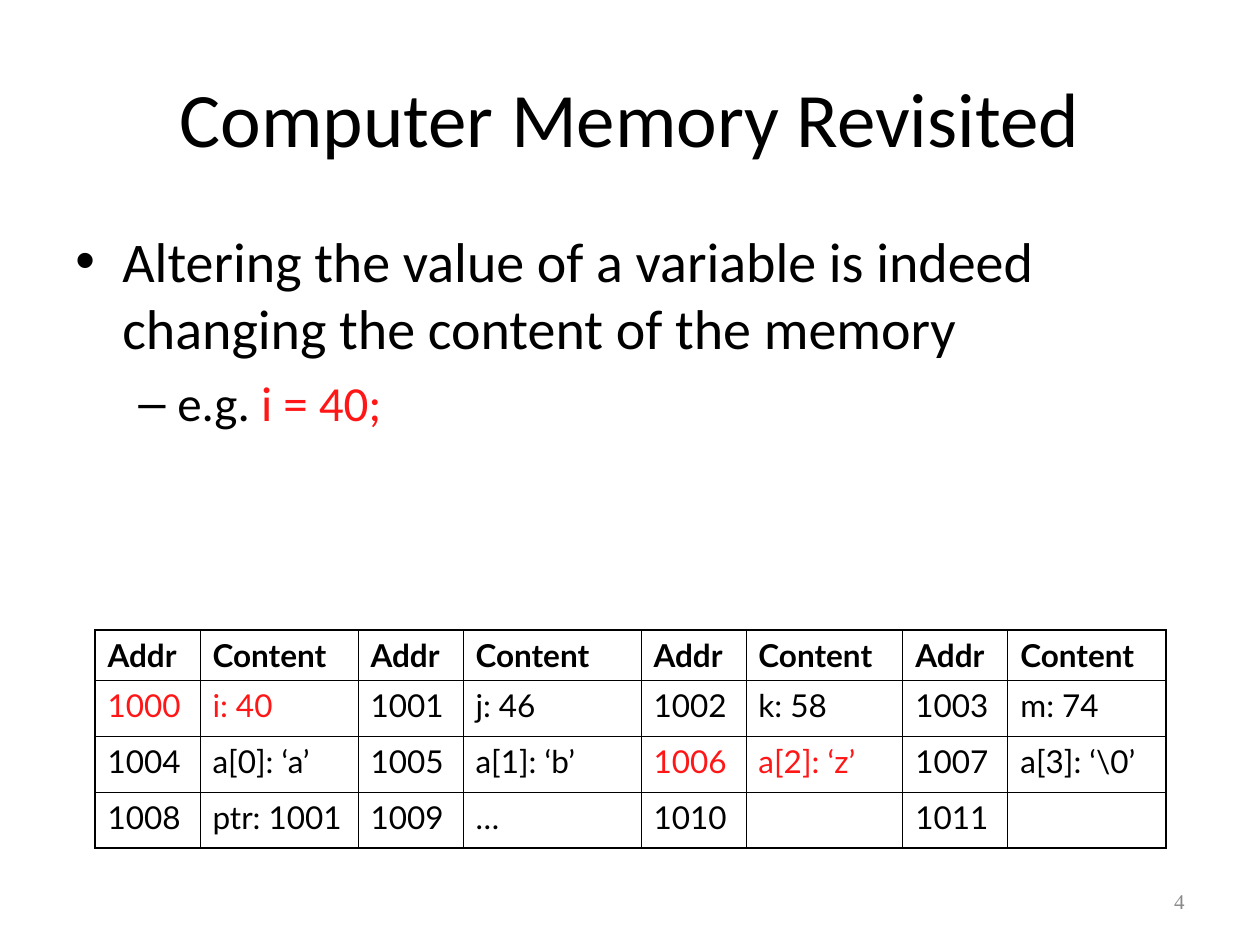
from lxml import etree
from pptx import Presentation
from pptx import util as u
from pptx.dml.color import RGBColor
from pptx.enum import text
from pptx.oxml.ns import qn

PX = 914400 / 126
BLACK, RED, GREY = "000000", "FF1717", "898989"
THIN, THICK = 0.45, 1.08

HEADER = ["Addr", "Content"] * 4
MEMORY = ["i: 40", "j: 46", "k: 58", "m: 74",
          "a[0]: ‘a’", "a[1]: ‘b’", "a[2]: ‘z’", "a[3]: ‘\\0’",
          "ptr: 1001", "…", "", ""]
FIRST_ADDRESS = 1000
CHANGED = {1000, 1006}
CELLS_PER_ROW = 4
COLUMN_WIDTHS = [105, 158, 105, 178, 105, 157, 105, 158]
ROW_HEIGHTS = [50, 56, 56, 56]


def px(length):
    return u.Emu(round(length * PX))


def color(value):
    return RGBColor.from_string(value)


def add_run(paragraph, words, size, font="Calibri", fill=BLACK, bold=False):
    run = paragraph.add_run()
    run.text = words
    run.font.size = u.Pt(size)
    run.font.name = font
    run.font.bold = bold
    run.font.color.rgb = color(fill)


def add_text_box(slide, left, top, width, height, anchor=text.MSO_ANCHOR.TOP):
    frame = slide.shapes.add_textbox(px(left), px(top), px(width), px(height)).text_frame
    frame.word_wrap = True
    frame.vertical_anchor = anchor
    return frame


def set_bullet(paragraph, character, margin, hanging, space_before):
    paragraph.space_before = u.Pt(space_before)
    properties = paragraph._p.get_or_add_pPr()
    properties.set("marL", str(px(margin)))
    properties.set("indent", str(-px(hanging)))
    bullet_color = etree.SubElement(properties, qn("a:buClr"))
    etree.SubElement(bullet_color, qn("a:srgbClr"), val=BLACK)
    etree.SubElement(properties, qn("a:buFont"), typeface="Arial")
    etree.SubElement(properties, qn("a:buChar"), char=character)


def set_borders(cell, widths):
    """Draw the left, right, top and bottom borders, with widths in points."""
    properties = cell._tc.get_or_add_tcPr()
    for index, (side, width) in enumerate(zip("LRTB", widths)):
        line = etree.Element(qn(f"a:ln{side}"), w=str(u.Pt(width)))
        fill = etree.SubElement(line, qn("a:solidFill"))
        etree.SubElement(fill, qn("a:srgbClr"), val=BLACK)
        properties.insert(index, line)


def memory_rows():
    """Give each table row as a list of (words, colour)."""
    rows = [[(words, BLACK) for words in HEADER]]
    for start in range(0, len(MEMORY), CELLS_PER_ROW):
        row = []
        for offset in range(start, start + CELLS_PER_ROW):
            address = FIRST_ADDRESS + offset
            fill = RED if address in CHANGED else BLACK
            row += [(str(address), fill), (MEMORY[offset], fill)]
        rows.append(row)
    return rows


def add_memory_table(slide, left, top):
    rows = memory_rows()
    last_row, last_column = len(rows) - 1, len(HEADER) - 1
    table = slide.shapes.add_table(
        len(rows), len(HEADER), px(left), px(top),
        px(sum(COLUMN_WIDTHS)), px(sum(ROW_HEIGHTS))).table
    table.first_row = table.horz_banding = False
    for column, width in zip(table.columns, COLUMN_WIDTHS):
        column.width = px(width)
    for row, height in zip(table.rows, ROW_HEIGHTS):
        row.height = px(height)

    for r, row in enumerate(rows):
        for c, (words, fill) in enumerate(row):
            cell = table.cell(r, c)
            cell.fill.background()
            thick_sides = (c == 0, c == last_column, r <= 1, r in (0, last_row))
            set_borders(cell, [THICK if thick else THIN for thick in thick_sides])
            paragraph = cell.text_frame.paragraphs[0]
            paragraph.space_before = u.Pt(4.5)
            if words:
                add_run(paragraph, words, 18, "Lato", fill, bold=r == 0)


def add_title(slide):
    frame = add_text_box(slide, 63, 38, 1134, 157, text.MSO_ANCHOR.MIDDLE)
    frame.paragraphs[0].alignment = text.PP_ALIGN.CENTER
    add_run(frame.paragraphs[0], "Computer Memory Revisited", 44)


def add_body(slide):
    frame = add_text_box(slide, 63, 220, 1134, 624)
    point = frame.paragraphs[0]
    set_bullet(point, "•", 47, 47, 8)
    add_run(point, "Altering the value of a variable is indeed "
                   "changing the content of the memory", 32)
    example = frame.add_paragraph()
    example.level = 1
    set_bullet(example, "–", 102, 39, 7)
    add_run(example, "e.g. ", 28)
    add_run(example, "i = 40;", 28, fill=RED)


def add_slide_number(slide):
    frame = add_text_box(slide, 903, 876, 294, 50, text.MSO_ANCHOR.MIDDLE)
    frame.paragraphs[0].alignment = text.PP_ALIGN.RIGHT
    add_run(frame.paragraphs[0], "4", 12, "Times New Roman", GREY)


def main():
    presentation = Presentation()
    presentation.slide_width, presentation.slide_height = px(1260), px(945)
    slide = presentation.slides.add_slide(presentation.slide_layouts[6])
    add_title(slide)
    add_body(slide)
    add_slide_number(slide)
    add_memory_table(slide, 95, 630)
    presentation.save("out.pptx")


if __name__ == "__main__":
    main()
